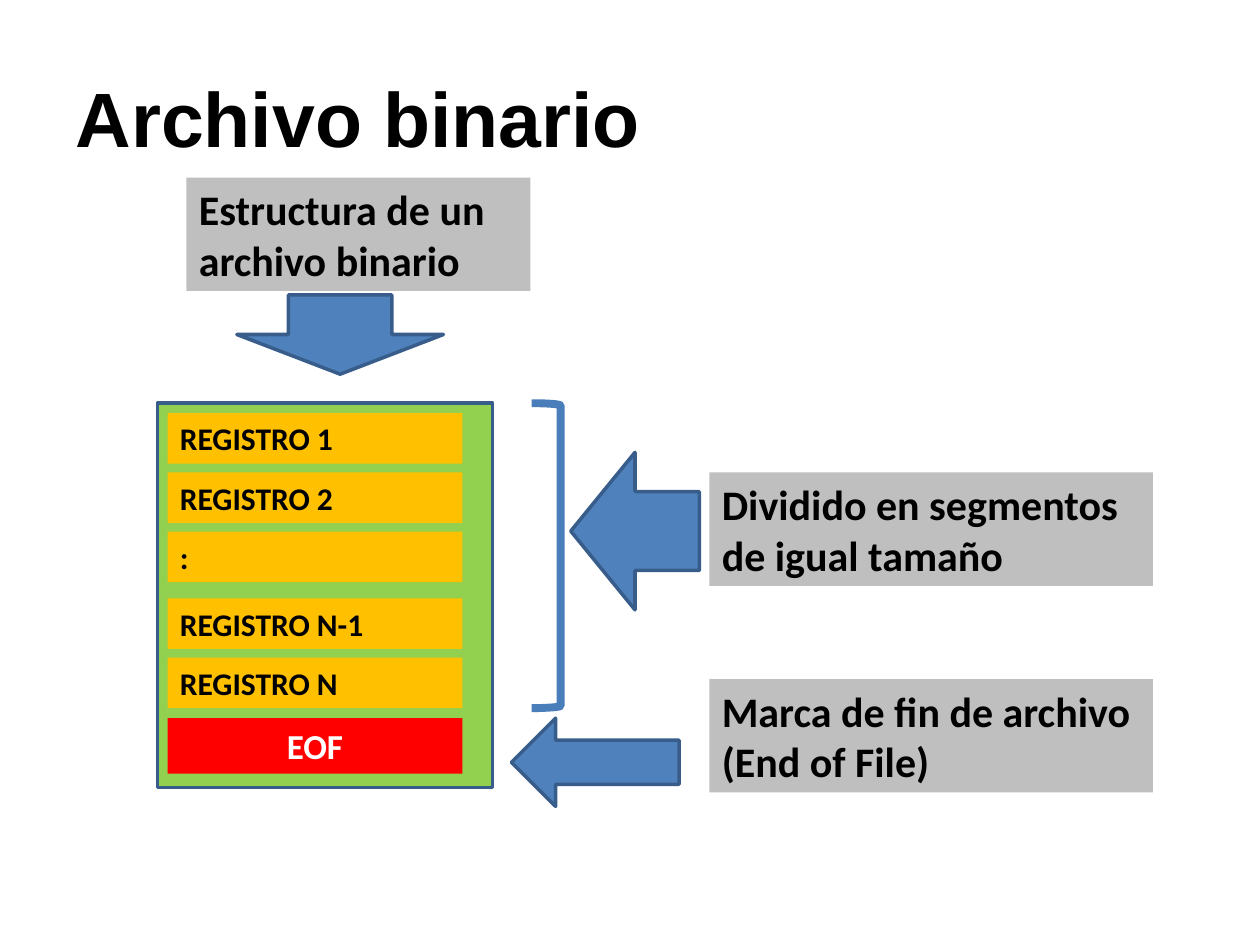
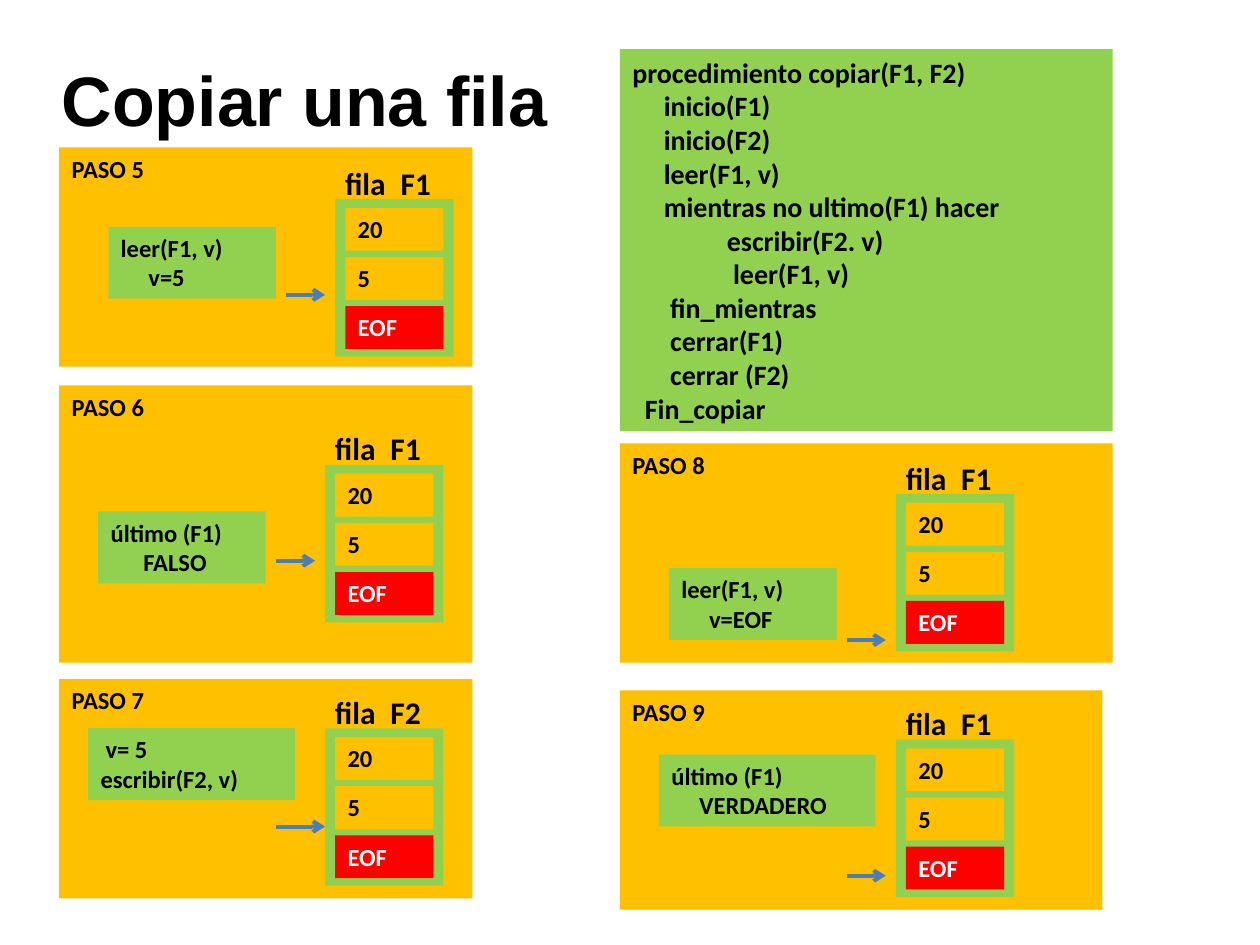
from dataclasses import dataclass

import pptx
import pptx.dml.color
import pptx.enum.shapes
import pptx.enum.text
import pptx.oxml.ns
import pptx.util
from lxml import etree
from pptx.util import Inches

COLORS = {
    "black": "000000", "white": "FFFFFF", "green": "92D050",
    "amber": "FFC000", "red": "FF0000", "grey": "BFBFBF",
    "blue": "4F81BD", "outline": "385D8A", "line": "4A7EBB",
}
SHAPE = pptx.enum.shapes.MSO_SHAPE
ALIGN = pptx.enum.text.PP_ALIGN
ANCHOR = pptx.enum.text.MSO_ANCHOR
TITLE_ONLY = 5


@dataclass
class Box:
    """A rectangle in inches."""
    x: float
    y: float
    w: float
    h: float

    def lengths(self) -> list:
        return [Inches(v) for v in (self.x, self.y, self.w, self.h)]


@dataclass
class Line:
    """A line of text, with its indent in inches."""
    text: str
    indent: float = 0


@dataclass
class Step:
    """A panel with the instruction, the queue and the reading arrow."""
    name: str
    panel: Box
    note: Box
    lines: list[Line]
    queue: str
    queue_x: float
    queue_y: float
    arrow_start: float
    arrow_end: float
    arrow_y: float


# Shared helpers
def rgb(name: str) -> pptx.dml.color.RGBColor:
    return pptx.dml.color.RGBColor.from_string(COLORS[name])


def add_run(p, text: str, size: float, color: str = "black", font: str = "Calibri") -> None:
    r = p.add_run()
    r.text = text
    r.font.name = font
    r.font.size = pptx.util.Pt(size)
    r.font.bold = True
    r.font.color.rgb = rgb(color)


def add_lines(tf, lines: list[Line], size: float, color: str = "black",
              align=ALIGN.LEFT, tab: float = 0) -> None:
    tf.word_wrap = True
    tf.vertical_anchor = ANCHOR.TOP
    for i, line in enumerate(lines):
        p = tf.paragraphs[0] if i == 0 else tf.add_paragraph()
        p.alignment = align
        pPr = p._p.get_or_add_pPr()
        if line.indent:
            pPr.set("marL", str(Inches(line.indent)))
        if tab:
            tabs = etree.SubElement(pPr, pptx.oxml.ns.qn("a:tabLst"))
            etree.SubElement(tabs, pptx.oxml.ns.qn("a:tab"), pos=str(Inches(tab)), algn="l")
        add_run(p, line.text, size, color)


def add_title(prs, text: str, box: Box, size: float):
    s = prs.slides.add_slide(prs.slide_layouts[TITLE_ONLY])
    title = s.shapes.title
    title.left, title.top, title.width, title.height = box.lengths()
    tf = title.text_frame
    tf.auto_size = pptx.enum.text.MSO_AUTO_SIZE.NONE
    tf.vertical_anchor = ANCHOR.MIDDLE
    p = tf.paragraphs[0]
    p.alignment = ALIGN.LEFT
    add_run(p, text, size, font="Arial")
    return s


def add_figure(shapes, kind, box: Box, fill: str | None, line: str | None = None,
               width: float = 2):
    sp = shapes.add_shape(kind, *box.lengths())
    sp.shadow.inherit = False
    if fill:
        sp.fill.solid()
        sp.fill.fore_color.rgb = rgb(fill)
    else:
        sp.fill.background()
    if line:
        sp.line.color.rgb = rgb(line)
        sp.line.width = pptx.util.Pt(width)
    else:
        sp.line.fill.background()
    return sp


def add_block(shapes, box: Box, fill: str, lines: list[Line], size: float,
              color: str = "black", align=ALIGN.LEFT) -> None:
    sp = add_figure(shapes, SHAPE.RECTANGLE, box, fill)
    add_lines(sp.text_frame, lines, size, color, align)


def add_arrow(s, x1: float, x2: float, y: float) -> None:
    cx = s.shapes.add_connector(pptx.enum.shapes.MSO_CONNECTOR.STRAIGHT,
                                Inches(x1), Inches(y), Inches(x2), Inches(y))
    cx.line.color.rgb = rgb("line")
    cx.line.width = pptx.util.Pt(2.25)
    etree.SubElement(cx.line._get_or_add_ln(), pptx.oxml.ns.qn("a:tailEnd"), type="arrow")
    etree.SubElement(cx._element.spPr, pptx.oxml.ns.qn("a:effectLst"))


# Slide 1: structure of a binary file
RECORDS = [("REGISTRO 1", 3.28), ("REGISTRO 2", 3.75), (":", 4.22),
           ("REGISTRO N-1", 4.75), ("REGISTRO N", 5.22)]
CAPTIONS = [
    ("Estructura de un archivo binario", Box(1.48, 1.41, 2.73, 0.9)),
    ("Dividido en segmentos de igual tamaño", Box(5.63, 3.75, 3.52, 0.9)),
    ("Marca de fin de archivo (End of File)", Box(5.63, 5.39, 3.52, 0.9)),
]
BLOCK_ARROWS = [
    (SHAPE.DOWN_ARROW, Box(1.88, 2.34, 1.64, 0.63)),
    (SHAPE.LEFT_ARROW, Box(4.53, 3.59, 1.02, 1.25)),
    (SHAPE.LEFT_ARROW, Box(4.06, 5.7, 1.33, 0.7)),
]


def build_binary_file(prs) -> None:
    s = add_title(prs, "Archivo binario", Box(0.5, 0.3, 9, 1.25), 44)
    add_figure(s.shapes, SHAPE.RECTANGLE, Box(1.25, 3.2, 2.66, 3.05), "green", "outline")
    for text, y in RECORDS:
        add_block(s.shapes, Box(1.33, y, 2.34, 0.4), "amber", [Line(text)], 18)
    add_block(s.shapes, Box(1.33, 5.7, 2.34, 0.44), "red", [Line("EOF")], 20,
              "white", ALIGN.CENTER)
    for text, box in CAPTIONS:
        add_block(s.shapes, box, "grey", [Line(text)], 24)
    for kind, box in BLOCK_ARROWS:
        add_figure(s.shapes, kind, box, "blue", "outline")
    bracket = add_figure(s.shapes, SHAPE.RIGHT_BRACKET, Box(4.22, 3.2, 0.23, 2.42),
                         None, "line", 4.5)
    bracket.adjustments[0] = 0.08


# Slide 2: copying a queue
CODE = """procedimiento copiar(F1, F2)
     inicio(F1)
     inicio(F2)
     leer(F1, v)
     mientras no ultimo(F1) hacer
               escribir(F2. v)
                leer(F1, v)
      fin_mientras
      cerrar(F1)
      cerrar (F2)
  Fin_copiar"""
CELLS = [("20", "amber", "black"), ("5", "amber", "black"), ("EOF", "red", "white")]
STEPS = [
    Step("PASO 5", Box(0.47, 1.17, 3.28, 1.74), Box(0.86, 1.8, 1.33, 0.57),
         [Line("leer(F1, v)"), Line("v=5", 0.22)], "F1", 2.66, 1.58, 2.27, 2.58, 2.34),
    Step("PASO 6", Box(0.47, 3.06, 3.28, 2.2), Box(0.78, 4.06, 1.33, 0.57),
         [Line("último (F1)"), Line("FALSO", 0.26)], "F1", 2.58, 3.69, 2.19, 2.5, 4.45),
    Step("PASO 7", Box(0.47, 5.39, 3.28, 1.74), Box(0.7, 5.78, 1.64, 0.57),
         [Line("v= 5", 0.04), Line("escribir(F2, v)")], "F2", 2.58, 5.78, 2.19, 2.58, 6.56),
    Step("PASO 8", Box(4.92, 3.52, 3.91, 1.74), Box(5.31, 4.51, 1.33, 0.57),
         [Line("leer(F1, v)"), Line("v=EOF", 0.22)], "F1", 7.11, 3.92, 6.72, 7.03, 5.08),
    Step("PASO 9", Box(4.92, 5.48, 3.83, 1.74), Box(5.23, 5.99, 1.72, 0.57),
         [Line("último (F1)"), Line("VERDADERO", 0.22)], "F1", 7.11, 5.87, 6.72, 7.03, 6.95),
]


def add_queue(s, name: str, x: float, y: float) -> None:
    group = s.shapes.add_group_shape()
    add_figure(group.shapes, SHAPE.RECTANGLE, Box(x, y, 0.94, 1.25), "green")
    for i, (text, fill, color) in enumerate(CELLS):
        cell = Box(x + 0.08, y + 0.07 + i * 0.39, 0.78, 0.34)
        add_block(group.shapes, cell, fill, [Line(text)], 14, color)
    label = s.shapes.add_textbox(*Box(x - 0.02, y - 0.33, 1.11, 0.4).lengths())
    add_lines(label.text_frame, [Line(f"fila\t{name}")], 18, tab=0.44)


def add_step(s, step: Step) -> None:
    add_block(s.shapes, step.panel, "amber", [Line(step.name)], 14)
    add_block(s.shapes, step.note, "green", step.lines, 14)
    add_queue(s, step.queue, step.queue_x, step.queue_y)
    add_arrow(s, step.arrow_start, step.arrow_end, step.arrow_y)


def build_queue_copy(prs) -> None:
    s = add_title(prs, "Copiar una fila", Box(0.39, 0.31, 4.38, 0.94), 40)
    s.shapes.title.fill.solid()
    s.shapes.title.fill.fore_color.rgb = rgb("white")
    code = [Line(text) for text in CODE.splitlines()]
    add_block(s.shapes, Box(4.92, 0.39, 3.91, 3.03), "green", code, 16)
    for step in STEPS:
        add_step(s, step)


def main() -> None:
    prs = pptx.Presentation()
    prs.slide_width, prs.slide_height = Inches(10), Inches(7.5)
    build_binary_file(prs)
    build_queue_copy(prs)
    prs.save("out.pptx")


if __name__ == "__main__":
    main()
